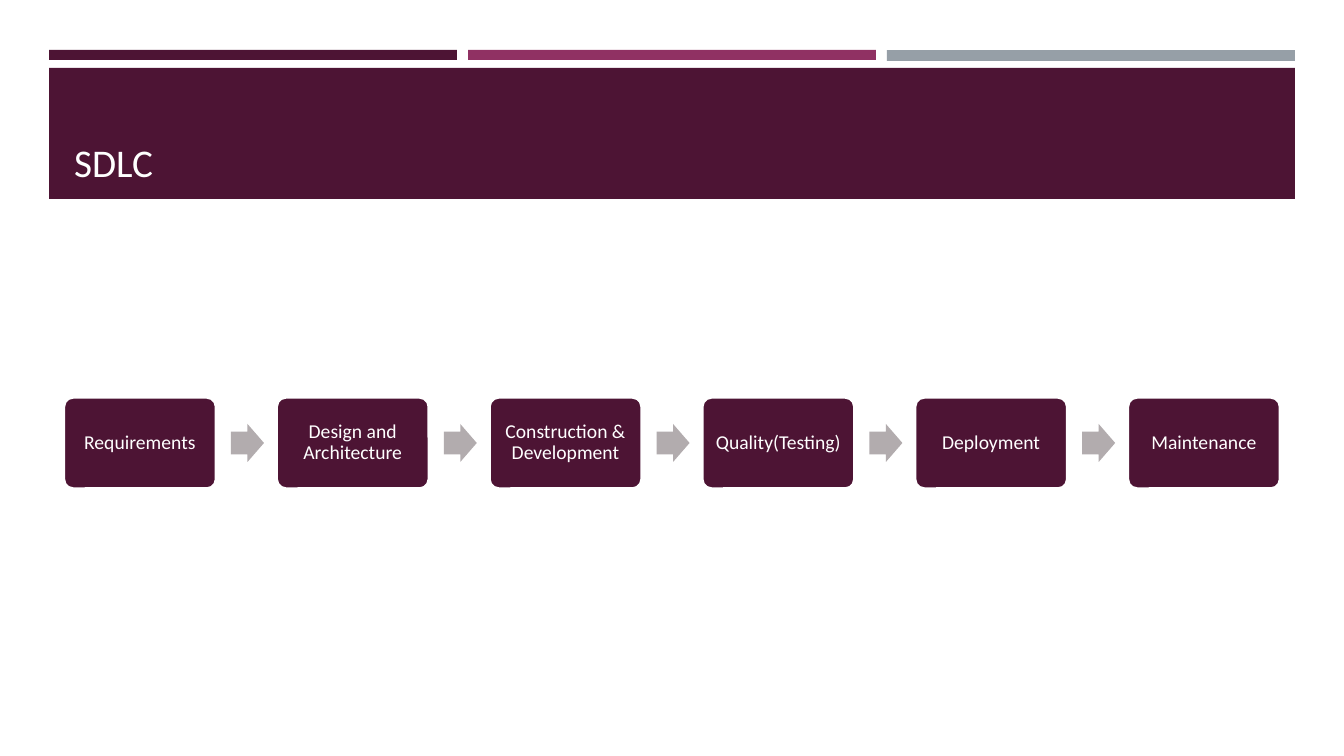
from pptx import Presentation
from pptx.dml.color import RGBColor
from pptx.enum.shapes import MSO_SHAPE as Preset
from pptx.enum.text import MSO_ANCHOR as Anchor, PP_ALIGN as Align
from pptx.util import Emu, Pt

PLUM = RGBColor(0x4D, 0x14, 0x34)
MAGENTA = RGBColor(0x90, 0x31, 0x63)
SLATE = RGBColor(0x96, 0x9F, 0xA7)
ARROW_GREY = RGBColor(0xB2, 0xAC, 0xAE)
WHITE = RGBColor(0xFF, 0xFF, 0xFF)

TITLE = "SDLC"
PHASES = [
    "Requirements",
    "Design and Architecture",
    "Construction & Development",
    "Quality(Testing)",
    "Deployment",
    "Maintenance",
]
STRIPS = [(PLUM, 10), (MAGENTA, 10), (SLATE, 11)]

SLIDE_SIZE = (1344, 756)
BAND = (49, 68, 1246, 131)
TITLE_AREA = (64, 78, 1216, 112)
STRIP_TOP, STRIP_WIDTH = 50, 408
FLOW_LEFT, FLOW_RIGHT, FLOW_MIDDLE = 64, 1280, 443
PHASE_WIDTH, PHASE_HEIGHT = 152, 91
ARROW_OFFSET, ARROW_WIDTH, ARROW_HEIGHT = 167, 33, 38
PHASE_INSET = 6
EMU_PER_PX = 914400 / 100.8

TITLE_FONT = {"name": "Calibri", "size": Pt(28)}
PHASE_FONT = {"name": "Calibri", "size": Pt(14)}
PHASE_FRAME = {"word_wrap": True, "vertical_anchor": Anchor.MIDDLE}
PHASE_PARAGRAPH = {"alignment": Align.CENTER, "line_spacing": 0.9}


def px(length):
    """Turn a length in px into EMU."""
    return Emu(round(length * EMU_PER_PX))


def apply(target, values):
    """Set each attribute of the target from a dict."""
    for attribute, value in values.items():
        setattr(target, attribute, value)


def add_block(slide, preset, area, fill, adjustments=()):
    """Add a flat filled shape without an outline."""
    block = slide.shapes.add_shape(preset, *map(px, area))
    block.shadow.inherit = False
    block.fill.solid()
    block.fill.fore_color.rgb = fill
    block.line.fill.background()
    for index, adjustment in enumerate(adjustments):
        block.adjustments[index] = adjustment
    return block


def add_header(slide):
    """Draw the three strips, the band and the title on top of it."""
    strip_pitch = (BAND[2] - STRIP_WIDTH) / (len(STRIPS) - 1)
    for index, (colour, height) in enumerate(STRIPS):
        left = BAND[0] + index * strip_pitch
        add_block(slide, Preset.RECTANGLE, (left, STRIP_TOP, STRIP_WIDTH, height), colour)
    add_block(slide, Preset.RECTANGLE, BAND, PLUM)

    title = slide.shapes.title
    title.element.getparent().append(title.element)
    apply(title, dict(zip(("left", "top", "width", "height"), map(px, TITLE_AREA))))
    title.text_frame.text = TITLE
    title.text_frame.vertical_anchor = Anchor.BOTTOM
    heading = title.text_frame.paragraphs[0]
    heading.alignment = Align.LEFT
    apply(heading.font, TITLE_FONT)
    heading.font.color.rgb = WHITE


def add_phase(slide, name, left):
    """Draw one rounded box with its phase name."""
    area = (left, FLOW_MIDDLE - PHASE_HEIGHT / 2, PHASE_WIDTH, PHASE_HEIGHT)
    phase = add_block(slide, Preset.ROUNDED_RECTANGLE, area, PLUM, [0.1])
    phase.line.color.rgb = WHITE
    phase.line.width = Pt(1.75)
    frame = phase.text_frame
    frame.text = name
    apply(frame, PHASE_FRAME)
    for side in ("left", "top", "right", "bottom"):
        setattr(frame, f"margin_{side}", px(PHASE_INSET))
    label = frame.paragraphs[0]
    apply(label, PHASE_PARAGRAPH)
    apply(label.font, PHASE_FONT)
    label.font.color.rgb = WHITE


def add_flow(slide):
    """Draw the phases in a row with an arrow between neighbours."""
    pitch = (FLOW_RIGHT - FLOW_LEFT - PHASE_WIDTH) / (len(PHASES) - 1)
    for index, name in enumerate(PHASES):
        left = FLOW_LEFT + index * pitch
        add_phase(slide, name, left)
        if index < len(PHASES) - 1:
            arrow = (left + ARROW_OFFSET, FLOW_MIDDLE - ARROW_HEIGHT / 2, ARROW_WIDTH, ARROW_HEIGHT)
            add_block(slide, Preset.RIGHT_ARROW, arrow, ARROW_GREY, [0.6, 0.5])


def main():
    """Build the slide and save it."""
    deck = Presentation()
    deck.slide_width, deck.slide_height = map(px, SLIDE_SIZE)
    slide = deck.slides.add_slide(deck.slide_layouts.get_by_name("Title Only"))
    add_header(slide)
    add_flow(slide)
    deck.save("out.pptx")


if __name__ == "__main__":
    main()
